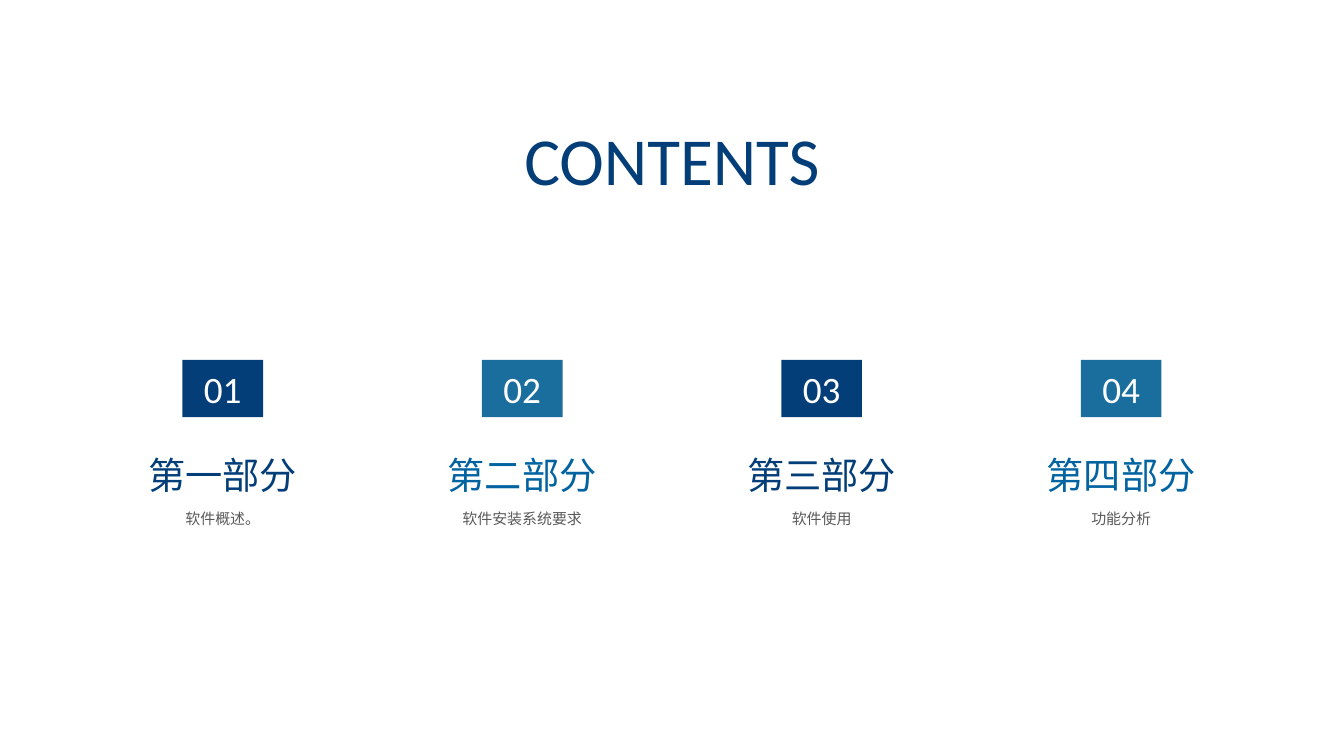
from pptx import Presentation
from pptx.dml.color import RGBColor
from pptx.enum import shapes, text
from pptx.util import Inches, Pt

NAVY, TEAL, BLUE, GREY, WHITE = "033E78", "1A6E9D", "0263A1", "595959", "FFFFFF"
SECTIONS = [
    ("01", "第一部分", "软件概述。"),
    ("02", "第二部分", "软件安装系统要求"),
    ("03", "第三部分", "软件使用"),
    ("04", "第四部分", "功能分析"),
]
COLUMN_LEFT, COLUMN_TOP, COLUMN_WIDTH, COLUMN_STEP = 0.79, 3.57, 2.84, 2.97


def rgb(value):
    return RGBColor.from_string(value)


def write(sp, content, size, color, wrap=True, spacing=None):
    """Put one centred line of text into a shape."""
    tf = sp.text_frame
    tf.word_wrap = wrap
    p = tf.paragraphs[0]
    p.alignment = text.PP_ALIGN.CENTER
    if spacing:
        p.line_spacing = spacing
    r = p.add_run()
    r.text = content
    r.font.name = "Calibri"
    r.font.size = Pt(size)
    r.font.color.rgb = rgb(color)


def add_label(s, left, top, width, height, content, size, color, **layout):
    sp = s.shapes.add_textbox(Inches(left), Inches(top), Inches(width), Inches(height))
    sp.text_frame.auto_size = text.MSO_AUTO_SIZE.SHAPE_TO_FIT_TEXT
    write(sp, content, size, color, **layout)


def add_badge(s, left, top, number, fill):
    sp = s.shapes.add_shape(shapes.MSO_SHAPE.RECTANGLE, Inches(left), Inches(top),
                            Inches(0.8), Inches(0.57))
    sp.shadow.inherit = False
    sp.fill.solid()
    sp.fill.fore_color.rgb = rgb(fill)
    sp.line.fill.background()
    sp.text_frame.vertical_anchor = text.MSO_ANCHOR.MIDDLE
    write(sp, number, 26.6, WHITE, wrap=False)


def add_section(s, left, top, width, section, fill, heading_color):
    """Stack badge, heading and description in one column."""
    number, heading, description = section
    add_badge(s, left + (width - 0.8) / 2, top, number, fill)
    add_label(s, left, top + 1.4, width, 0.32, description, 10.7, GREY, spacing=1.2)
    add_label(s, left + (width - 2.41) / 2, top + 0.87, 2.41, 0.55,
              heading, 26.6, heading_color)


def add_contents_slide(prs):
    s = prs.slides.add_slide(prs.slide_layouts[6])
    s.background.fill.solid()
    s.background.fill.fore_color.rgb = rgb(WHITE)
    add_label(s, 5.1, 1.12, 3.13, 0.91, "CONTENTS", 48, NAVY, wrap=False)
    for i, section in enumerate(SECTIONS):
        fill, heading_color = [(NAVY, NAVY), (TEAL, BLUE)][i % 2]
        add_section(s, COLUMN_LEFT + i * COLUMN_STEP, COLUMN_TOP, COLUMN_WIDTH,
                    section, fill, heading_color)


def main():
    prs = Presentation()
    prs.slide_width, prs.slide_height = Inches(13.33), Inches(7.5)
    add_contents_slide(prs)
    prs.save("out.pptx")


if __name__ == "__main__":
    main()
